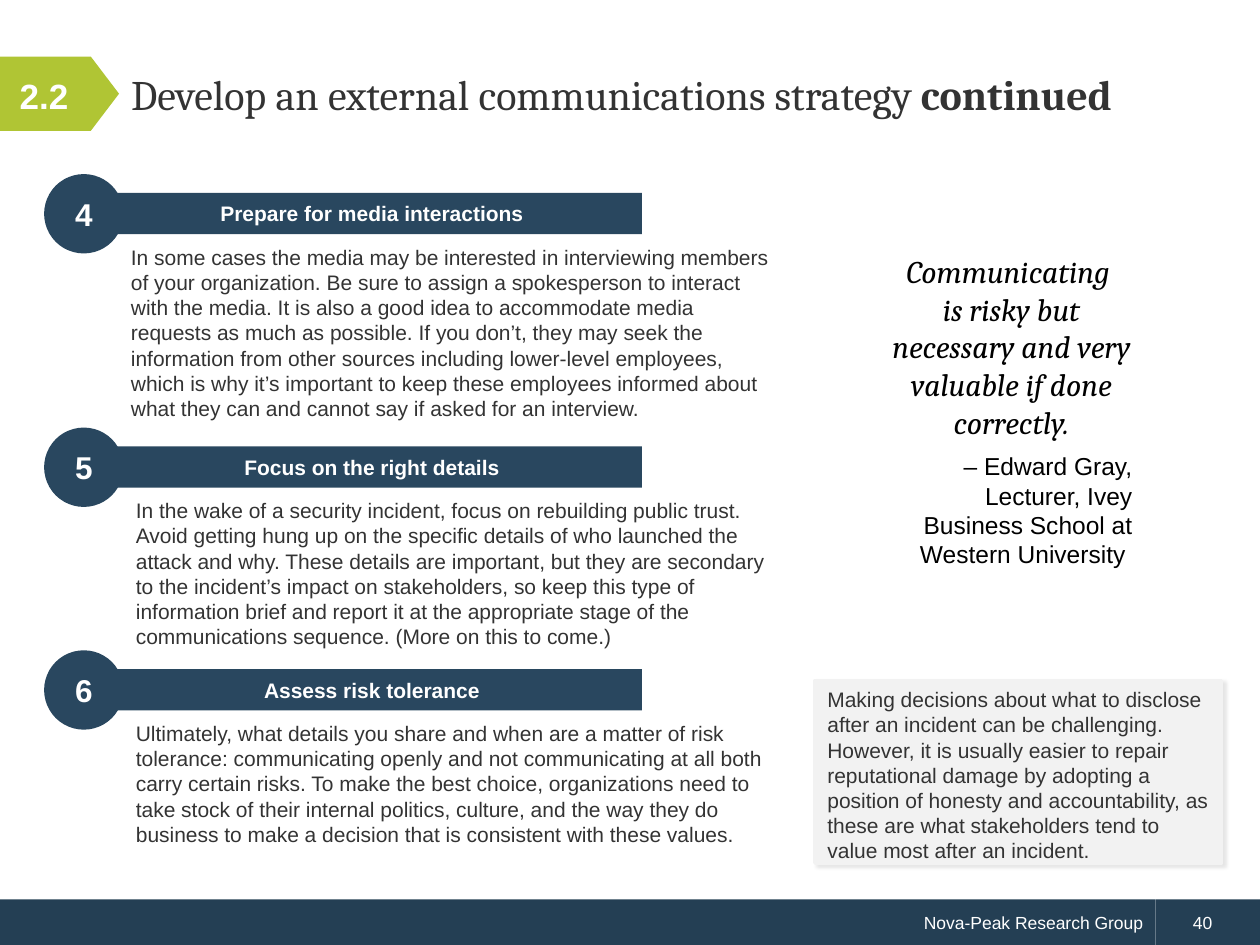
from lxml import etree
from pptx import Presentation
from pptx import util as u
from pptx.dml.color import RGBColor
from pptx.enum import shapes, text
from pptx.oxml.ns import qn

Cm = u.Cm
Kind = shapes.MSO_SHAPE
Side = text.PP_ALIGN
Mid = text.MSO_ANCHOR.MIDDLE
Fit = text.MSO_AUTO_SIZE
hue = {"navy": "29475F", "foot": "243F54", "lime": "B0C534", "pale": "F2F2F2",
       "ink": "333333", "white": "FFFFFF", "black": "000000"}


def write(para, words, size, color, face="Arial", bold=False, side=Side.LEFT):
    para.text = words
    para.alignment = side
    font = para.font
    font.name, font.size, font.bold = face, u.Pt(size), bold
    font.color.rgb = RGBColor.from_string(hue[color])


def block(kind, box, color):
    shape = slide.shapes.add_shape(kind, *map(Cm, box))
    shape.shadow.inherit = False
    shape.fill.solid()
    shape.fill.fore_color.rgb = RGBColor.from_string(hue[color])
    shape.line.fill.background()
    shape.text_frame.vertical_anchor = Mid
    return shape


deck = Presentation()
deck.slide_width, deck.slide_height = Cm(25.4), Cm(19.05)
slide = deck.slides.add_slide(deck.slide_layouts[1])

foot = block(Kind.RECTANGLE, (0, 18.13, 23.29, 0.93), "foot")
write(foot.text_frame.paragraphs[0], "Nova-Peak Research Group", 10, "white", side=Side.RIGHT)
page = block(Kind.RECTANGLE, (23.29, 18.13, 2.11, 0.93), "foot")
page.text_frame.margin_left = Cm(0.76)
write(page.text_frame.paragraphs[0], "40", 10, "white")

flag = block(Kind.PENTAGON, (0, 1.14, 2.4, 1.5), "lime")
flag.adjustments[0] = 0.38

title, mark = slide.placeholders
for hold, box in ((title, (2.39, 0.74, 22.25, 2.39)), (mark, (0, 0.69, 1.78, 2.49))):
    hold.left, hold.top, hold.width, hold.height = map(Cm, box)
    hold.text_frame.auto_size = Fit.NONE
    hold.text_frame.vertical_anchor = Mid
    slide.shapes._spTree.append(hold._element)

head = title.text_frame.paragraphs[0]
write(head, "Develop an external communications strategy ", 24, "ink", "Cambria")
head.line_spacing = u.Pt(26)
last = head.add_run()
last.text = "continued"
last.font.bold = True

step = mark.text_frame.paragraphs[0]
props = step._p.get_or_add_pPr()
props.set("marL", "0")
props.set("indent", "0")
etree.SubElement(props, qn("a:buNone"))
write(step, "2.2", 20, "white", bold=True, side=Side.CENTER)
step.space_before = u.Pt(0)

parts = [
    ("4", 3.89, 2.39, 3.84, "Prepare for media interactions",
     "In some cases the media may be interested in interviewing members of your organization. "
     "Be sure to assign a spokesperson to interact with the media. It is also a good idea to "
     "accommodate media requests as much as possible. If you don’t, they may seek the information "
     "from other sources including lower-level employees, which is why it’s important to keep these "
     "employees informed about what they can and cannot say if asked for an interview."),
    ("5", 9, 2.49, 3.33, "Focus on the right details",
     "In the wake of a security incident, focus on rebuilding public trust. Avoid getting hung up on "
     "the specific details of who launched the attack and why. These details are important, but they "
     "are secondary to the incident’s impact on stakeholders, so keep this type of information brief "
     "and report it at the appropriate stage of the communications sequence. (More on this to come.)"),
    ("6", 13.49, 2.49, 2.82, "Assess risk tolerance",
     "Ultimately, what details you share and when are a matter of risk tolerance: communicating "
     "openly and not communicating at all both carry certain risks. To make the best choice, "
     "organizations need to take stock of their internal politics, culture, and the way they do "
     "business to make a decision that is consistent with these values."),
]
for num, top, left, high, name, words in parts:
    bar = block(Kind.RECTANGLE, (2.06, top, 10.88, 0.83), "navy")
    write(bar.text_frame.paragraphs[0], name, 12, "white", bold=True, side=Side.CENTER)
    disc = block(Kind.OVAL, (0.89, top - 0.38, 1.6, 1.6), "navy")
    write(disc.text_frame.paragraphs[0], num, 18, "white", bold=True, side=Side.CENTER)
    note = slide.shapes.add_textbox(Cm(left), Cm(top + 0.91), Cm(15.77 - left), Cm(high))
    note.text_frame.word_wrap = True
    note.text_frame.auto_size = Fit.SHAPE_TO_FIT_TEXT
    write(note.text_frame.paragraphs[0], words, 12, "ink")

tip = block(Kind.RECTANGLE, (16.43, 13.72, 8.2, 3.68), "pale")
tip.line.color.rgb = RGBColor.from_string(hue["pale"])
tip.line.width = u.Pt(2)
glow = etree.SubElement(tip._element.spPr.find(qn("a:effectLst")), qn("a:outerShdw"),
                        blurRad="25400", dist="25400", dir="2700000", algn="tl")
tint = etree.SubElement(glow, qn("a:srgbClr"), val=hue["black"])
etree.SubElement(tint, qn("a:alpha"), val="10000")
tip.text_frame.vertical_anchor = text.MSO_ANCHOR.TOP
write(tip.text_frame.paragraphs[0],
      "Making decisions about what to disclose after an incident can be challenging. However, it is "
      "usually easier to repair reputational damage by adopting a position of honesty and "
      "accountability, as these are what stakeholders tend to value most after an incident.",
      12, "ink")
tip.text_frame.paragraphs[0].space_after = u.Pt(6)

quote = slide.shapes.add_textbox(Cm(17.7), Cm(4.95), Cm(5.38), Cm(6.71)).text_frame
quote.word_wrap = True
quote.auto_size = Fit.SHAPE_TO_FIT_TEXT
said = quote.paragraphs[0]
write(said, "Communicating \vis risky but necessary and very valuable if done correctly.",
      18, "black", "Cambria", side=Side.CENTER)
said.font.italic = True
by = quote.add_paragraph()
write(by, "– Edward Gray, Lecturer, Ivey Business School at Western University ",
      14, "black", side=Side.RIGHT)
for para in quote.paragraphs:
    para.space_after = u.Pt(6)

deck.save("out.pptx")
